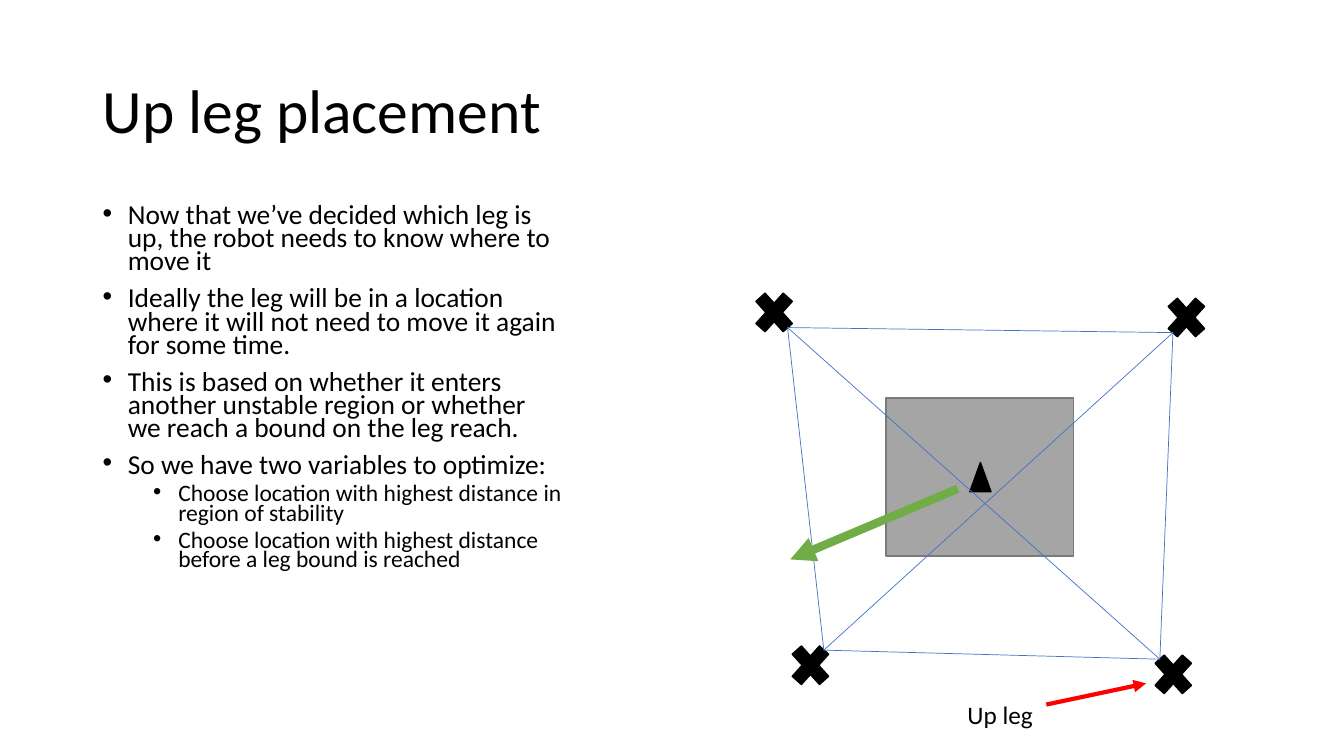
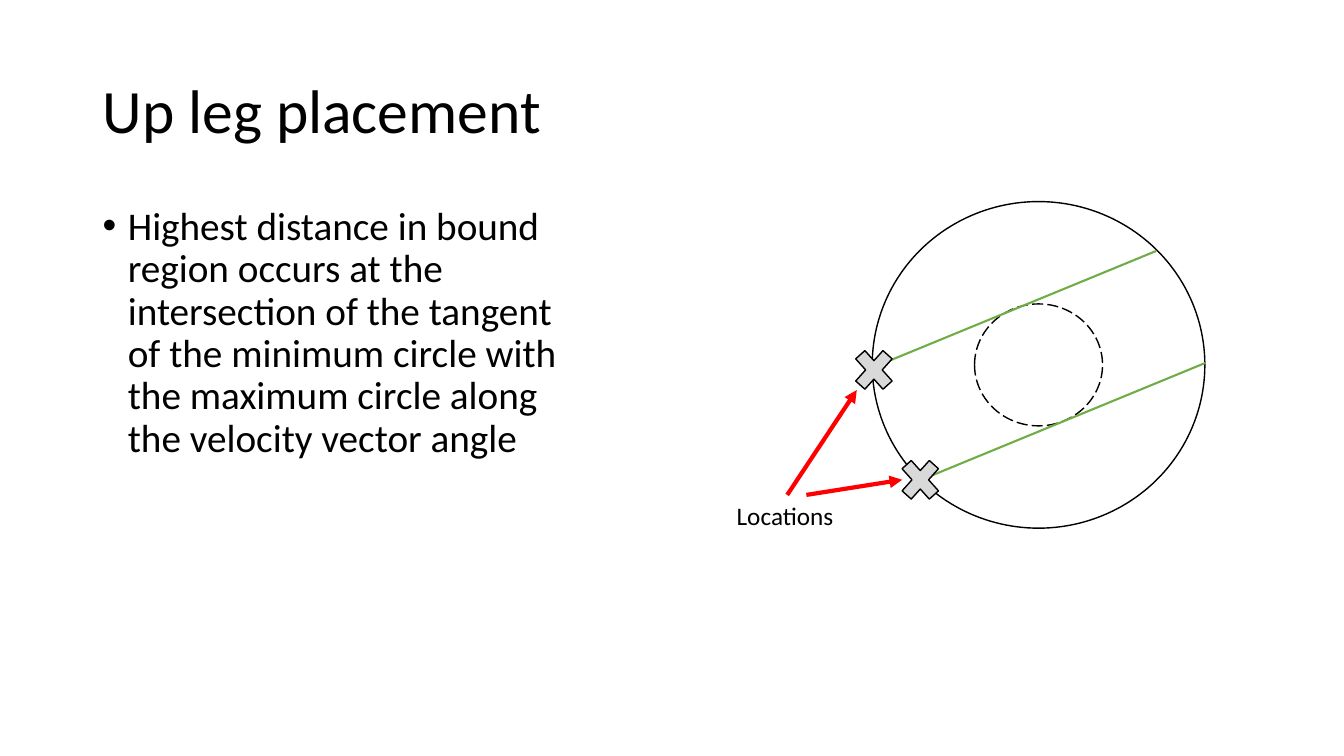
from dataclasses import dataclass
from itertools import combinations

from lxml.etree import SubElement
from pptx import Presentation
from pptx.dml.color import RGBColor
from pptx.enum.dml import MSO_LINE
from pptx.enum.shapes import MSO_CONNECTOR, MSO_SHAPE
from pptx.enum.text import MSO_ANCHOR
from pptx.oxml.ns import qn
from pptx.util import Inches, Pt

COLUMNS, ROWS = 40, 22.5
CELL = Inches(13.333) / COLUMNS


def cells(*counts):
    """Turn grid cells into slide lengths."""
    return [round(count * CELL) for count in counts]


@dataclass(frozen=True)
class Theme:
    """Colours, font and type sizes."""
    font: str = "Calibri"
    ink: str = "000000"
    body_fill: str = "A5A5A5"
    body_line: str = "7A7A7A"
    mark_fill: str = "D9D9D9"
    support: str = "4472C4"
    velocity: str = "70AD47"
    pointer: str = "FF0000"
    title_size: float = 44
    label_size: float = 18
    large_size: float = 28
    item_size: float = 19.6
    subitem_size: float = 16.8


class Deck:
    """Draws styled elements on the current slide."""

    def __init__(self, theme):
        """Start an empty deck on the grid."""
        self.theme = theme
        self.presentation = Presentation()
        self.presentation.slide_width, self.presentation.slide_height = cells(COLUMNS, ROWS)
        self.slide = None

    def new_slide(self, title):
        """Add a blank slide with its title."""
        self.slide = self.presentation.slides.add_slide(self.presentation.slide_layouts[6])
        frame = self.text_frame(2.76, 1.2, 34.5, 4.35)
        frame.vertical_anchor = MSO_ANCHOR.MIDDLE
        paragraph = frame.paragraphs[0]
        paragraph.line_spacing = 0.9
        self.run(paragraph, title, self.theme.title_size)

    def text_frame(self, left, top, width, height, wrap=True):
        """Add a text box and return its frame."""
        frame = self.slide.shapes.add_textbox(*cells(left, top, width, height)).text_frame
        frame.word_wrap = wrap
        return frame

    def run(self, paragraph, text, size):
        """Add one run in the theme font."""
        run = paragraph.add_run()
        run.text = text
        run.font.name = self.theme.font
        run.font.size = Pt(size)
        run.font.color.rgb = RGBColor.from_string(self.theme.ink)

    def label(self, text, left, top, width):
        """Add a one-line label."""
        frame = self.text_frame(left, top, width, 1.2, wrap=False)
        self.run(frame.paragraphs[0], text, self.theme.label_size)

    def bullets(self, items, line_spacing):
        """Fill the left column with (level, size, text) items."""
        frame = self.text_frame(2.76, 6, 14.3, 14.28)
        for index, (level, size, text) in enumerate(items):
            paragraph = frame.add_paragraph() if index else frame.paragraphs[0]
            paragraph.level = level
            paragraph.line_spacing = line_spacing
            paragraph.space_before = Pt(5 if level else 10)
            properties = paragraph._p.get_or_add_pPr()
            properties.set("marL", str(Inches(0.25 + 0.5 * level)))
            properties.set("indent", str(Inches(-0.25)))
            SubElement(properties, qn("a:buFont"), typeface="Arial")
            SubElement(properties, qn("a:buChar"), char="•")
            self.run(paragraph, text, size)

    def shape(self, kind, centre, size, fill=None, line=None, dash=None):
        """Add a preset shape around a centre point."""
        (x, y), (width, height) = centre, size
        box = cells(x - width / 2, y - height / 2, width, height)
        shape = self.slide.shapes.add_shape(kind, *box)
        shape.shadow.inherit = False
        if fill:
            shape.fill.solid()
            shape.fill.fore_color.rgb = RGBColor.from_string(fill)
        else:
            shape.fill.background()
        shape.line.color.rgb = RGBColor.from_string(line or self.theme.ink)
        shape.line.width = Pt(1)
        if dash:
            shape.line.dash_style = dash

    def foot_mark(self, centre, fill):
        """Mark a foot position with a cross."""
        self.shape(MSO_SHAPE.MATH_MULTIPLY, centre, (1.56, 1.74), fill)

    def line(self, start, end, color, width, arrow=False):
        """Add a straight line, with an arrowhead at its end if asked."""
        connector = self.slide.shapes.add_connector(
            MSO_CONNECTOR.STRAIGHT, *cells(*start, *end))
        connector.line.color.rgb = RGBColor.from_string(color)
        connector.line.width = Pt(width)
        if arrow:
            SubElement(connector.line._get_or_add_ln(), qn("a:tailEnd"), type="triangle")
        SubElement(connector._element.spPr, qn("a:effectLst"))

    def pointer(self, start, end):
        """Point from a label to a foot."""
        self.line(start, end, self.theme.pointer, 3, arrow=True)


def support_slide(deck):
    """Show the robot body, its feet and the velocity."""
    theme = deck.theme
    deck.new_slide("Up leg placement")
    items = [
        "Now that we’ve decided which leg is up, the robot needs to know where to move it",
        "Ideally the leg will be in a location where it will not need to move it again "
        "for some time.",
        "This is based on whether it enters another unstable region or whether we reach "
        "a bound on the leg reach.",
        "So we have two variables to optimize:",
    ]
    subitems = [
        "Choose location with highest distance in region of stability",
        "Choose location with highest distance before a leg bound is reached",
    ]
    deck.bullets([(0, theme.item_size, text) for text in items]
                 + [(1, theme.subitem_size, text) for text in subitems], 0.7)

    body = body_x, body_y = 29.16, 14.2
    deck.shape(MSO_SHAPE.RECTANGLE, body, (5.58, 4.71), theme.body_fill, theme.body_line)
    feet = [(23.04, 9.3), (24.12, 19.8), (34.92, 20.07), (35.31, 9.45)]
    for foot in feet:
        deck.foot_mark(foot, theme.ink)
    deck.shape(MSO_SHAPE.ISOSCELES_TRIANGLE, (29.18, 14.2), (0.63, 0.87), theme.ink)
    corners = [(x + (0.4 if x < body_x else -0.4), y + (0.45 if y < body_y else -0.45))
               for x, y in feet]
    for start, end in combinations(corners, 2):
        deck.line(start, end, theme.support, 0.5)
    deck.line((28.5, 14.55), (23.52, 16.65), theme.velocity, 6, arrow=True)
    deck.label("Up leg", 28.5, 20.67, 2.58)
    deck.pointer((31.14, 20.97), (34.11, 20.34))


def tangent_slide(deck):
    """Show the tangents of the minimum circle."""
    theme = deck.theme
    deck.new_slide("Up leg placement")
    deck.bullets([(0, theme.large_size,
                   "Highest distance in bound region occurs at the intersection of the "
                   "tangent of the minimum circle with the maximum circle along the "
                   "velocity vector angle")], 0.9)

    centre = (30.91, 10.86)
    deck.shape(MSO_SHAPE.OVAL, centre, (9.9, 9.72))
    deck.shape(MSO_SHAPE.OVAL, centre, (3.81, 3.63), dash=MSO_LINE.LONG_DASH)
    for start, end in [((35.88, 10.8), (27.42, 14.28)), ((34.41, 7.47), (25.95, 10.95))]:
        deck.line(start, end, theme.velocity, 1.5)
    deck.label("Locations", 21.63, 14.73, 3.63)
    for start, end in [((23.43, 14.73), (25.5, 11.61)), ((24, 14.73), (26.85, 14.28))]:
        deck.pointer(start, end)
    for location in [(27.39, 14.28), (26.01, 11.01)]:
        deck.foot_mark(location, theme.mark_fill)


def main():
    """Build and save the deck."""
    deck = Deck(Theme())
    support_slide(deck)
    tangent_slide(deck)
    deck.presentation.save("out.pptx")


if __name__ == "__main__":
    main()
